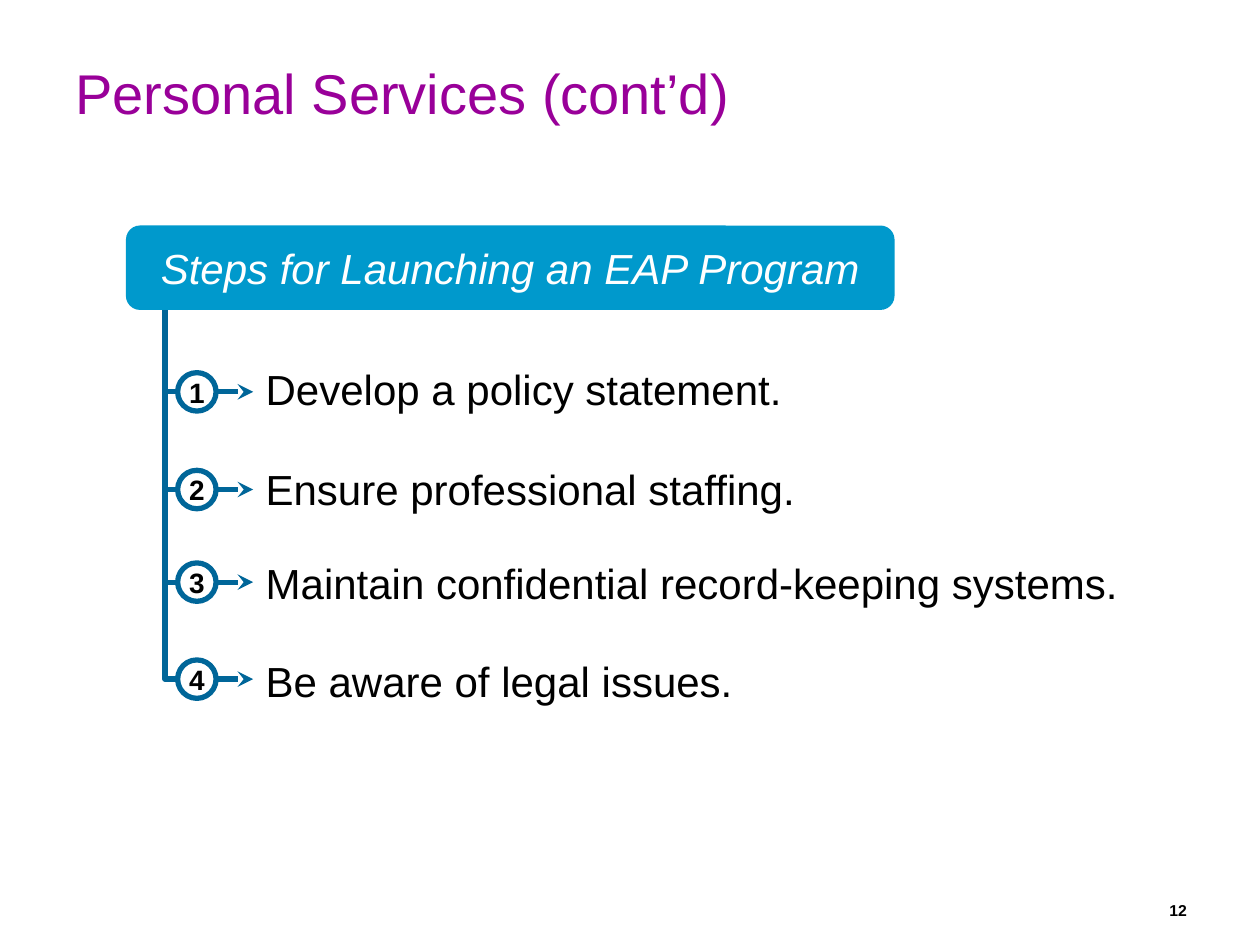
import pptx
import pptx.dml.color
import pptx.enum.shapes
import pptx.enum.text
import pptx.oxml
import pptx.oxml.ns
import pptx.util

ALIGN = pptx.enum.text.PP_ALIGN
ANCHOR = pptx.enum.text.MSO_ANCHOR
SHAPE = pptx.enum.shapes.MSO_SHAPE
FONT = "Arial"
COLORS = {
    "title": "990099",
    "banner": "0099CC",
    "line": "006699",
    "white": "FFFFFF",
    "text": "000000",
}
COLUMNS, ROWS = 100, 75
WIDTH, HEIGHT = pptx.util.Inches(10), pptx.util.Inches(7.5)
TRUNK, TEXT_LEFT, BRANCH_HEIGHT = 13.1, 20.1, 9.95
CIRCLE_LEFT, CIRCLE_SIZE = 14.1, 3.05
STEPS = [
    ("Develop a policy statement.", 31.1, 28.4),
    ("Ensure professional staffing.", 38.85, 36.3),
    ("Maintain confidential record-keeping systems.", 46.2, 43.8),
    ("Be aware of legal issues.", 53.9, 51.6),
]


def color(name):
    """Return the named colour."""
    return pptx.dml.color.RGBColor.from_string(COLORS[name])


def column(count):
    """Return the length of a number of grid columns."""
    return round(WIDTH * count / COLUMNS)


def row(count):
    """Return the length of a number of grid rows."""
    return round(HEIGHT * count / ROWS)


def place(left, top, width, height):
    """Return a grid area as slide lengths."""
    return column(left), row(top), column(width), row(height)


def write(shape, text, size, color_name="text", align=ALIGN.LEFT,
          anchor=ANCHOR.MIDDLE, bold=False, italic=False, wrap=True):
    """Write one formatted run into a shape."""
    frame = shape.text_frame
    frame.word_wrap = wrap
    frame.vertical_anchor = anchor
    paragraph = frame.paragraphs[0]
    paragraph.alignment = align
    run = paragraph.add_run()
    run.text = text
    run.font.name = FONT
    run.font.size = pptx.util.Pt(size)
    run.font.bold = bold
    run.font.italic = italic
    run.font.color.rgb = color(color_name)


def add_text(slide, area, text, size, **style):
    """Add a text box and return it."""
    box = slide.shapes.add_textbox(*place(*area))
    write(box, text, size, **style)
    return box


def add_filled(slide, kind, area, fill):
    """Add a filled preset shape without an outline."""
    shape = slide.shapes.add_shape(kind, *place(*area))
    shape.shadow.inherit = False
    shape.fill.solid()
    shape.fill.fore_color.rgb = color(fill)
    shape.line.fill.background()
    return shape


def set_line(shape):
    """Give a shape the diagram's line."""
    shape.line.color.rgb = color("line")
    shape.line.width = pptx.util.Pt(3)


def add_branch(slide, middle):
    """Add an elbow that ends in an arrowhead."""
    top = middle - BRANCH_HEIGHT
    builder = slide.shapes.build_freeform(column(TRUNK), row(top))
    corners = [(column(TRUNK), row(middle)), (column(TEXT_LEFT), row(middle))]
    builder.add_line_segments(corners, close=False)
    branch = builder.convert_to_shape()
    branch.shadow.inherit = False
    branch.fill.background()
    set_line(branch)
    line = branch.line._get_or_add_ln()
    for tag, attributes in (("round", ""), ("tailEnd", 'type="stealth"')):
        namespace = pptx.oxml.ns.nsdecls("a")
        line.append(pptx.oxml.parse_xml(f"<a:{tag} {namespace} {attributes}/>"))


def add_marker(slide, number, middle):
    """Add a branch with its numbered circle."""
    add_branch(slide, middle)
    area = (CIRCLE_LEFT, middle - CIRCLE_SIZE / 2, CIRCLE_SIZE, CIRCLE_SIZE)
    circle = add_filled(slide, SHAPE.OVAL, area, "white")
    set_line(circle)
    write(circle, str(number), 16, align=ALIGN.CENTER, bold=True, wrap=False)


def add_banner(slide, text):
    """Add the rounded heading of the steps."""
    banner = add_filled(slide, SHAPE.ROUNDED_RECTANGLE, (10, 17.9, 61, 6.7), "banner")
    write(banner, text, 24, "white", align=ALIGN.CENTER, italic=True)


def main():
    """Build and save the slide."""
    presentation = pptx.Presentation()
    presentation.slide_width, presentation.slide_height = WIDTH, HEIGHT
    slide = presentation.slides.add_slide(presentation.slide_layouts[6])
    add_text(slide, (5, 4.1, 89.8, 6.4), "Personal Services (cont’d)", 32,
             color_name="title")
    for number, (text, middle, text_top) in enumerate(STEPS, 1):
        add_marker(slide, number, middle)
        add_text(slide, (TEXT_LEFT, text_top, 69.9, 4.9), text, 24)
    add_banner(slide, "Steps for Launching an EAP Program")
    page = add_text(slide, (70, 69.5, 24.2, 4), "12", 9, align=ALIGN.RIGHT,
                    anchor=ANCHOR.BOTTOM, bold=True)
    page.text_frame.margin_left = page.text_frame.margin_right = 0
    presentation.save("out.pptx")


if __name__ == "__main__":
    main()
